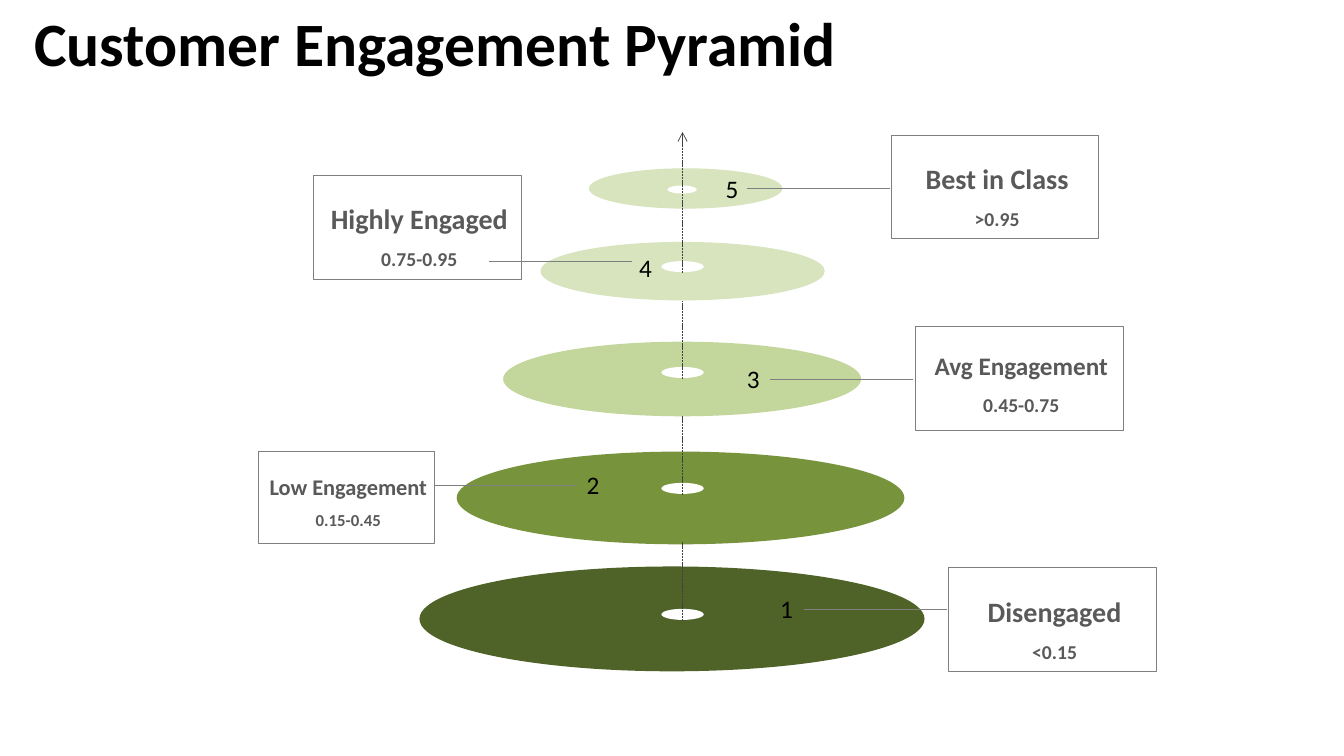
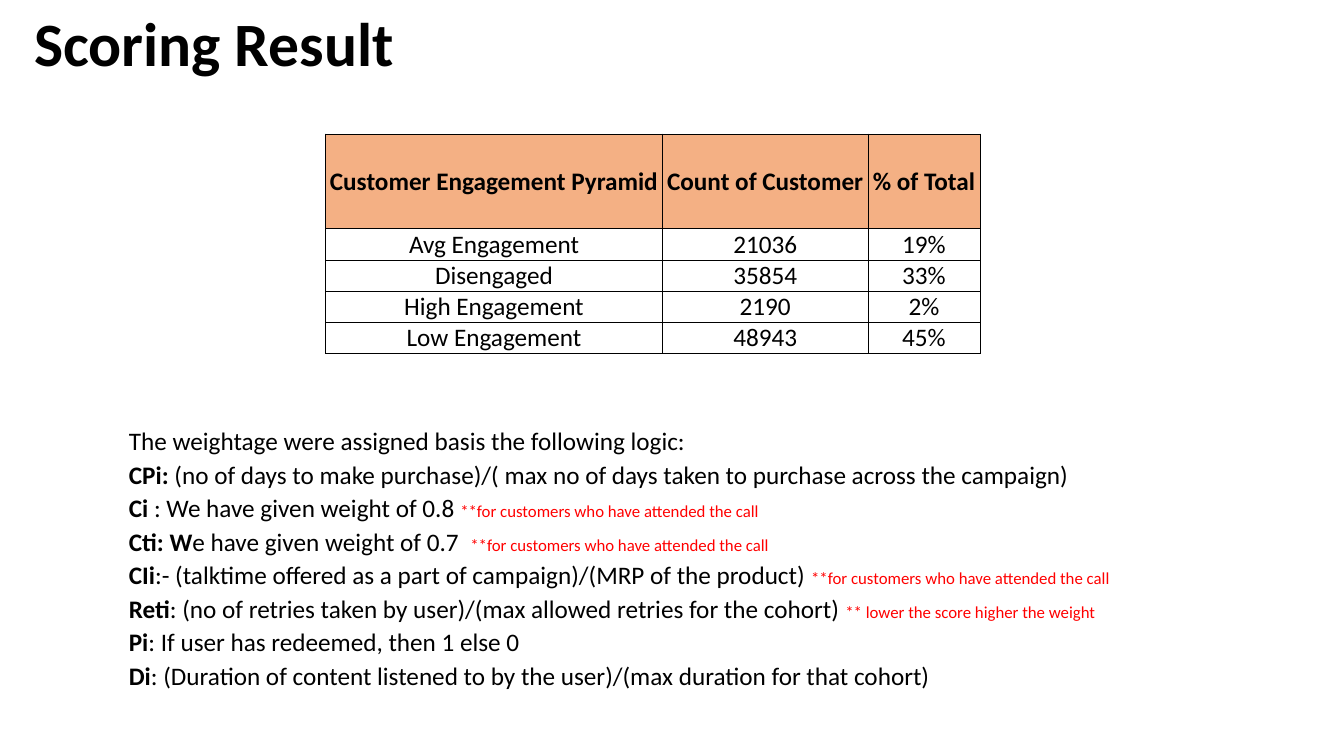
"""Build the customer engagement pyramid and scoring result slides."""
from pptx import Presentation
from pptx import util as u
from pptx.dml.color import RGBColor
from pptx.enum import dml, shapes, text
from pptx.oxml import parse_xml
from pptx.oxml.ns import nsdecls

Inches, Pt = u.Inches, u.Pt
FONT = "Calibri"
BLACK = RGBColor(0x00, 0x00, 0x00)
WHITE = RGBColor(0xFF, 0xFF, 0xFF)
RED = RGBColor(0xFF, 0x00, 0x00)
DARK_GREY = RGBColor(0x40, 0x40, 0x40)
TEXT_GREY = RGBColor(0x59, 0x59, 0x59)
LINE_GREY = RGBColor(0x7F, 0x7F, 0x7F)
HEADER_ORANGE = RGBColor(0xF4, 0xB0, 0x84)
PALE_GREEN = RGBColor(0xD7, 0xE4, 0xBD)
LIGHT_GREEN = RGBColor(0xC3, 0xD6, 0x9B)
MID_GREEN = RGBColor(0x77, 0x93, 0x3C)
DEEP_GREEN = RGBColor(0x4F, 0x62, 0x28)


def add_area(slide, preset, box, fill, outline=None):
    area = slide.shapes.add_shape(preset, *map(Inches, box))
    area.shadow.inherit = False
    area.fill.solid()
    area.fill.fore_color.rgb = fill
    if outline is None:
        area.line.fill.background()
    else:
        area.line.color.rgb = outline
        area.line.width = Pt(0.75)


def add_rule(slide, start, end, color, width):
    rule = slide.shapes.add_connector(
        shapes.MSO_CONNECTOR.STRAIGHT, *map(Inches, start + end))
    rule.line.color.rgb = color
    rule.line.width = Pt(width)
    rule._element.spPr.append(parse_xml(f"<a:effectLst {nsdecls('a')}/>"))
    return rule.line


deck = Presentation()
deck.slide_width, deck.slide_height = Inches(13.33), Inches(7.5)

titled_slides = []
for heading in ("Customer Engagement Pyramid", "Scoring Result"):
    slide = deck.slides.add_slide(deck.slide_layouts[6])
    title = slide.shapes.add_textbox(*map(Inches, (0.24, 0.03, 9, 0.87))).text_frame
    title.word_wrap = True
    title.vertical_anchor = text.MSO_ANCHOR.MIDDLE
    line = title.paragraphs[0]
    line.text = heading
    line.line_spacing = 0.9
    line.font.name, line.font.size = FONT, Pt(44)
    line.font.bold, line.font.color.rgb = True, BLACK
    titled_slides.append(slide)
pyramid, scoring = titled_slides

ELLIPSE = shapes.MSO_SHAPE.OVAL
AXIS_X = 6.77
discs = [
    ((5.84, 1.67, 1.92, 0.4), PALE_GREEN),
    ((4.16, 5.62, 5.01, 1.04), DEEP_GREEN),
    ((4.53, 4.48, 4.44, 0.92), MID_GREEN),
    ((4.99, 3.39, 3.55, 0.74), LIGHT_GREEN),
    ((5.36, 2.4, 2.82, 0.58), PALE_GREEN),
]
for box, green in discs:
    add_area(pyramid, ELLIPSE, box, green)

add_area(pyramid, ELLIPSE, (6.62, 1.84, 0.29, 0.08), WHITE)
for base, tip in ((2.71, 1.31), (3.76, 2.99), (4.91, 4.13), (6.16, 5.38)):
    add_area(pyramid, ELLIPSE, (AXIS_X - 0.21, base - 0.12, 0.42, 0.11), WHITE)
    axis = add_rule(pyramid, (AXIS_X, base), (AXIS_X, tip), DARK_GREY, 0.5)
    axis.dash_style = dml.MSO_LINE.SQUARE_DOT
    if base == 2.71:
        axis._get_or_add_ln().append(
            parse_xml(f'<a:tailEnd {nsdecls("a")} type="arrow"/>'))

LARGE_CARD, SMALL_CARD = (2.06, 1.03), (1.75, 0.91)
levels = [
    ("Low Engagement", "0.15-0.45", (2.56, 4.48), SMALL_CARD, 16, 12, 0.03),
    ("Disengaged", "<0.15", (9.41, 5.63), LARGE_CARD, 20, 14, 0.05),
    ("Avg Engagement", "0.45-0.75", (9.08, 3.24), LARGE_CARD, 18, 14, 0.04),
    ("Highly Engaged", "0.75-0.95", (3.11, 1.74), LARGE_CARD, 20, 14, 0.04),
    ("Best in Class", ">0.95", (8.84, 1.34), LARGE_CARD, 20, 14, 0.05),
]
for level, score, (left, top), (width, height), level_size, score_size, drop in levels:
    add_area(pyramid, shapes.MSO_SHAPE.RECTANGLE,
             (left, top, width, height), WHITE, LINE_GREY)
    label_width = width + 0.3
    label = pyramid.shapes.add_textbox(
        Inches(left - 0.13), Inches(top + drop),
        Inches(label_width), Inches(1.4)).text_frame
    label.word_wrap = True
    label.text = f"{level}\n{score}"
    for line, size in zip(label.paragraphs, (level_size, score_size)):
        line.alignment = text.PP_ALIGN.CENTER
        line.line_spacing = 1.5
        line.font.name, line.font.size = FONT, Pt(size)
        line.font.bold, line.font.color.rgb = True, TEXT_GREY

LEADER_LENGTH = 1.42
for left, height in ((4.3, 4.81), (4.85, 2.59), (7.64, 3.76), (7.97, 6.04), (7.41, 1.87)):
    add_rule(pyramid, (left + LEADER_LENGTH, height), (left, height), LINE_GREY, 0.25)

rank_places = [(7.64, 5.84), (5.72, 4.61), (7.31, 3.56), (6.24, 2.45), (7.1, 1.67)]
for rank, (left, top) in enumerate(rank_places, 1):
    number = pyramid.shapes.add_textbox(
        *map(Inches, (left, top, 0.33, 0.4))).text_frame
    number.word_wrap = False
    line = number.paragraphs[0]
    line.text = str(rank)
    line.font.name, line.font.size = FONT, Pt(18)
    line.font.color.rgb = BLACK

CALL_NOTE = "**for customers who have attended the call "
weights = [
    ("", "The weightage were assigned basis the following logic:", ""),
    ("CPi: ", "(no of days to make purchase)/( max no of days taken to purchase "
     "across the campaign)", ""),
    ("Ci ", ": We have given weight of 0.8 ", CALL_NOTE),
    ("Cti: W", "e have given weight of 0.7  ", CALL_NOTE),
    ("CIi", ":- (talktime offered as a part of campaign)/(MRP of the product) ", CALL_NOTE),
    ("Reti", ": (no of retries taken by user)/(max allowed retries for the cohort) ",
     "** lower the score higher the weight"),
    ("Pi", ": If user has redeemed, then 1 else 0", ""),
    ("Di", ": (Duration of content listened to by the user)/(max duration for that cohort)", ""),
]
logic = scoring.shapes.add_textbox(*map(Inches, (1.18, 4.17, 12.46, 3.05))).text_frame
logic.word_wrap = True
for index, (symbol, rule, remark) in enumerate(weights):
    line = logic.add_paragraph() if index else logic.paragraphs[0]
    line.space_before = line.space_after = Pt(1.2)
    line.font.name = FONT
    for words, size, bold, color in (
            (symbol, 18, True, BLACK), (rule, 18, False, BLACK), (remark, 12, False, RED)):
        if words:
            run = line.add_run()
            run.text = words
            run.font.size, run.font.bold = Pt(size), bold
            run.font.color.rgb = color

results = [
    ("Customer Engagement Pyramid", "Count of Customer", "% of Total"),
    ("Avg Engagement", "21036", "19%"),
    ("Disengaged", "35854", "33%"),
    ("High Engagement", "2190", "2%"),
    ("Low Engagement", "48943", "45%"),
]
table = scoring.shapes.add_table(
    len(results), 3, *map(Inches, (3.23, 1.33, 6.49, 2.18))).table
table.first_row = table.horz_banding = False
for column, width in zip(table.columns, (3.34, 2.04, 1.11)):
    column.width = Inches(width)
for row_index, values in enumerate(results):
    is_header = row_index == 0
    table.rows[row_index].height = Inches(0.94 if is_header else 0.31)
    for column_index, value in enumerate(values):
        cell = table.cell(row_index, column_index)
        cell.margin_left = cell.margin_right = cell.margin_top = cell.margin_bottom = 0
        cell.vertical_anchor = text.MSO_ANCHOR.MIDDLE
        for side in "LRTB":
            cell._tc.get_or_add_tcPr().append(parse_xml(
                f'<a:ln{side} {nsdecls("a")} w="{Pt(0.5)}"><a:solidFill>'
                f'<a:srgbClr val="{BLACK}"/></a:solidFill></a:ln{side}>'))
        if is_header:
            cell.fill.solid()
            cell.fill.fore_color.rgb = HEADER_ORANGE
        else:
            cell.fill.background()
        line = cell.text_frame.paragraphs[0]
        line.text = value
        line.alignment = text.PP_ALIGN.CENTER
        line.font.name, line.font.size = FONT, Pt(18)
        line.font.bold, line.font.color.rgb = is_header, BLACK

deck.save("out.pptx")
